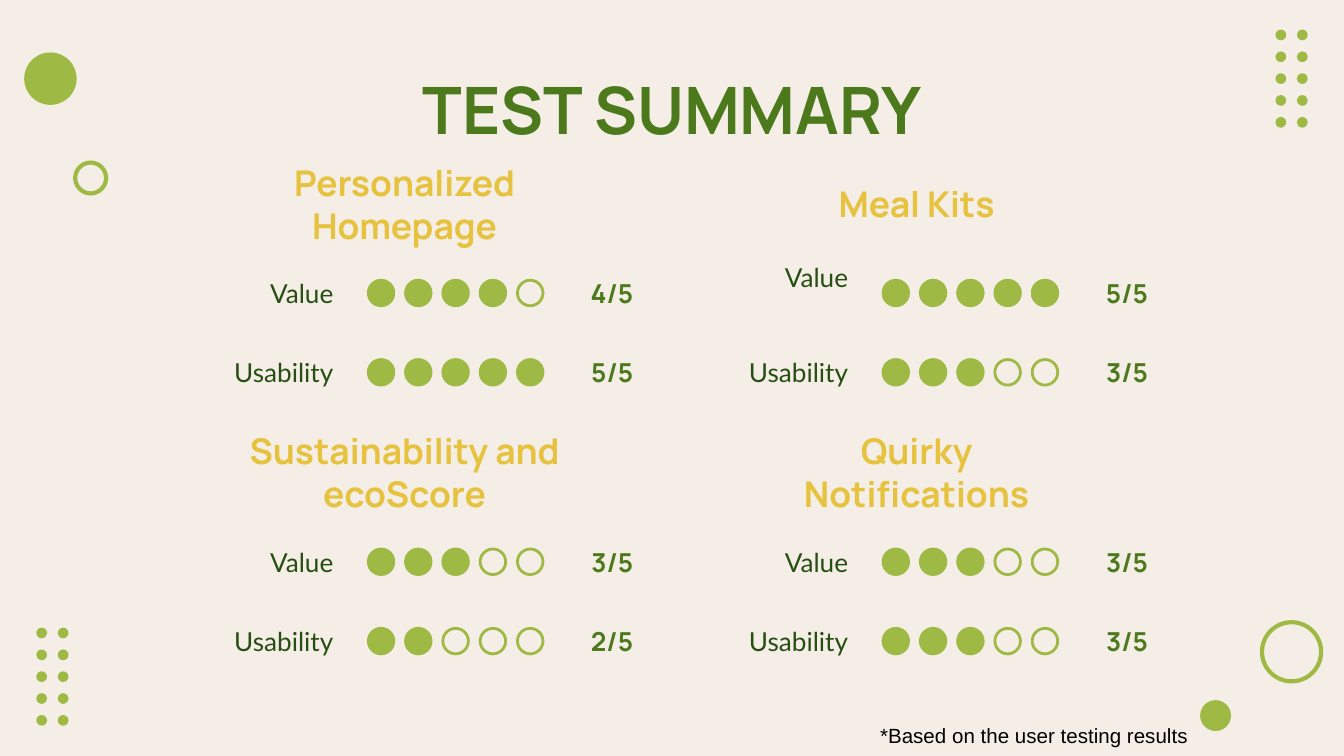
from pptx import Presentation
from pptx.dml.color import RGBColor
from pptx.enum.shapes import MSO_SHAPE
from pptx.enum.text import MSO_ANCHOR, PP_ALIGN
from pptx.util import Inches, Pt

OVAL = MSO_SHAPE.OVAL
TOP, MIDDLE = MSO_ANCHOR.TOP, MSO_ANCHOR.MIDDLE
LEFT, CENTER, RIGHT = PP_ALIGN.LEFT, PP_ALIGN.CENTER, PP_ALIGN.RIGHT

CREAM, LIME, GREEN = "F5EEE7", "9EB944", "4B791C"
DARK_GREEN, YELLOW, BLACK = "274E13", "E6C23E", "000000"

MAX_SCORE = 5
DOT_SIZE, DOT_STEP = 0.19, 1.11 / 4
ROW_HEIGHT, ROW_STEP = 0.3, 0.59
LABEL_WIDTHS = {"Value": 1.23, "Usability": 1}

FEATURES = [
    ("Personalized Homepage", (1.72, 1.14, 2.58, 0.75), 2.74, 2.03, (4, 5), 0),
    ("Meal Kits", (5.53, 1.34, 2.58, 0.34), 6.57, 2.03, (5, 3), -0.12),
    ("Sustainability and ecoScore", (1.72, 3.25, 2.58, 0.52), 2.74, 4.03, (3, 2), 0),
    ("Quirky Notifications", (5.53, 3.34, 2.58, 0.34), 6.57, 4.03, (3, 3), 0),
]


def color(hex_code):
    """Turn a hex string into a colour."""
    return RGBColor.from_string(hex_code)


def add_text(s, text, box, size, font, hex_code, align=CENTER, bold=False, anchor=MIDDLE):
    """Add a one-paragraph text box."""
    tf = s.shapes.add_textbox(*map(Inches, box)).text_frame
    tf.word_wrap = True
    tf.vertical_anchor = anchor
    tf.margin_left = tf.margin_right = tf.margin_top = tf.margin_bottom = Inches(0.1)
    p = tf.paragraphs[0]
    p.text = text
    p.alignment = align
    p.font.size = Pt(size)
    p.font.name = font
    p.font.bold = bold
    p.font.color.rgb = color(hex_code)


def add_circle(s, x, y, size, filled=True, line_width=0):
    """Add a lime circle, solid or hollow."""
    sp = s.shapes.add_shape(OVAL, Inches(x), Inches(y), Inches(size), Inches(size))
    sp.shadow.inherit = False
    if filled:
        sp.fill.solid()
        sp.fill.fore_color.rgb = color(LIME)
    else:
        sp.fill.background()
    if line_width:
        sp.line.color.rgb = color(LIME)
        sp.line.width = Pt(line_width)
    else:
        sp.line.fill.background()


def add_dot_grid(s, x, y):
    """Add a decorative grid of two by five small dots."""
    for col in range(2):
        for row in range(5):
            add_circle(s, x + 0.16 * col, y + 0.65 * row / 4, 0.08)


def add_rating(s, label, score, x, y, label_shift):
    """Add a label, a row of score dots and the score as text."""
    width = LABEL_WIDTHS[label]
    label_box = (x - 0.16 - width, y + label_shift, width, ROW_HEIGHT)
    add_text(s, label, label_box, 14, "Lato", DARK_GREEN, RIGHT)
    add_text(s, f"{score}/{MAX_SCORE}", (x + 1.5, y, 0.57, ROW_HEIGHT), 14, "Manrope", GREEN, RIGHT, True)
    for i in range(MAX_SCORE):
        add_circle(s, x + DOT_STEP * i, y + (ROW_HEIGHT - DOT_SIZE) / 2, DOT_SIZE, i < score, 1.5)


def add_feature(s, name, heading_box, x, y, scores, value_shift):
    """Add a feature heading with its value and usability ratings."""
    add_text(s, name, heading_box, 19, "Manrope", YELLOW, bold=True)
    add_rating(s, "Value", scores[0], x, y, value_shift)
    add_rating(s, "Usability", scores[1], x, y + ROW_STEP, 0)


def add_decoration(s):
    """Add the circles and dot grids around the edges."""
    add_dot_grid(s, 9.49, 0.22)
    add_dot_grid(s, 0.27, 4.67)
    add_circle(s, 9.39, 4.63, 0.44, False, 2.25)
    add_circle(s, 8.93, 5.21, 0.23)
    add_circle(s, 0.18, 0.39, 0.39)
    add_circle(s, 0.56, 1.21, 0.23, False, 2.25)


def main():
    """Build and save the test summary slide."""
    prs = Presentation()
    prs.slide_width = Inches(10)
    prs.slide_height = prs.slide_width * 9 // 16
    s = prs.slides.add_slide(prs.slide_layouts[6])
    s.background.fill.solid()
    s.background.fill.fore_color.rgb = color(CREAM)
    add_decoration(s)
    add_text(s, "*Based on the user testing results", (6.45, 5.29, 2.66, 0.39),
             11, "Arial", BLACK, LEFT, anchor=TOP)
    add_text(s, "TEST SUMMARY", (0.79, 0.49, 8.43, 0.63), 35, "Manrope", GREEN, bold=True)
    for feature in FEATURES:
        add_feature(s, *feature)
    prs.save("out.pptx")


if __name__ == "__main__":
    main()
